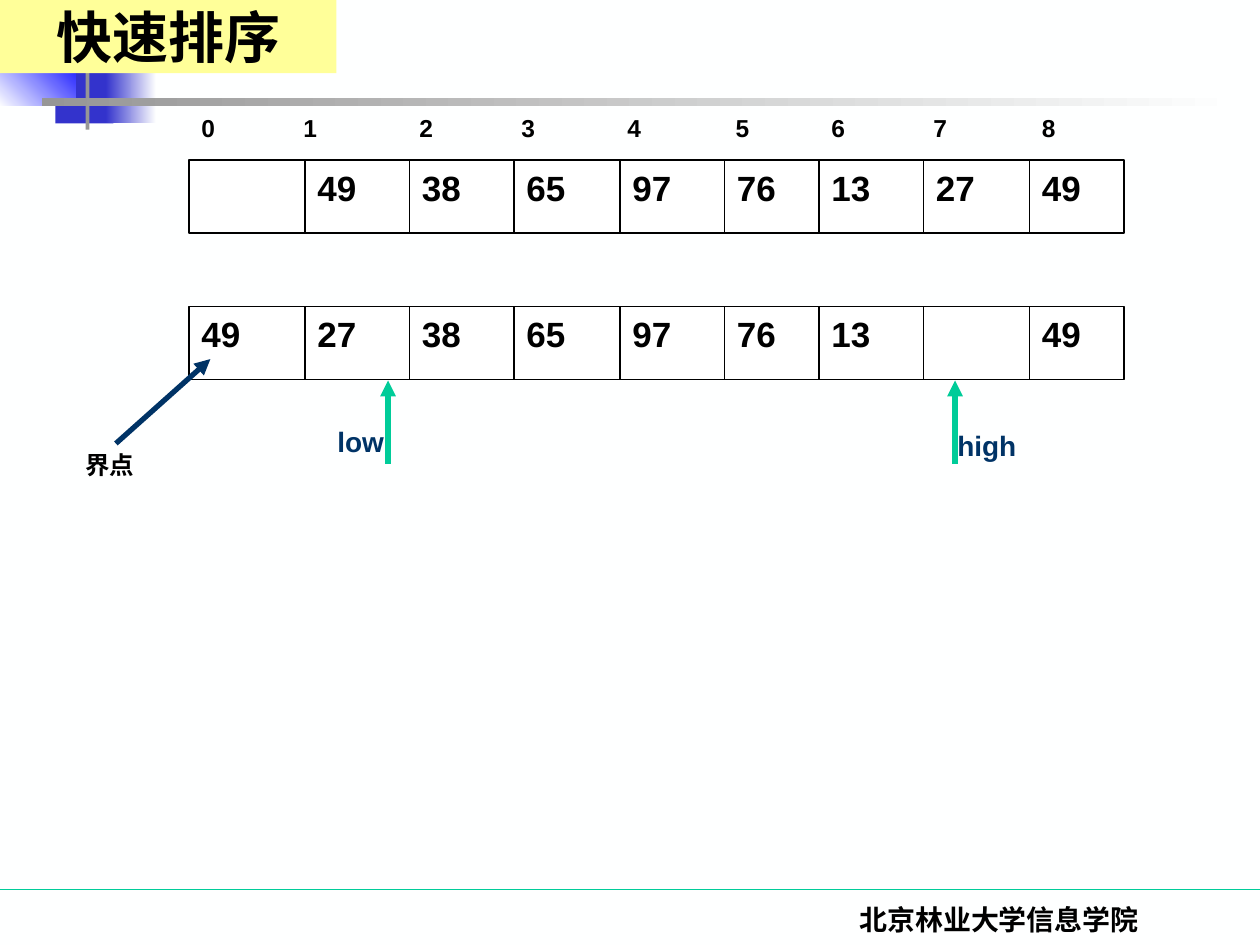
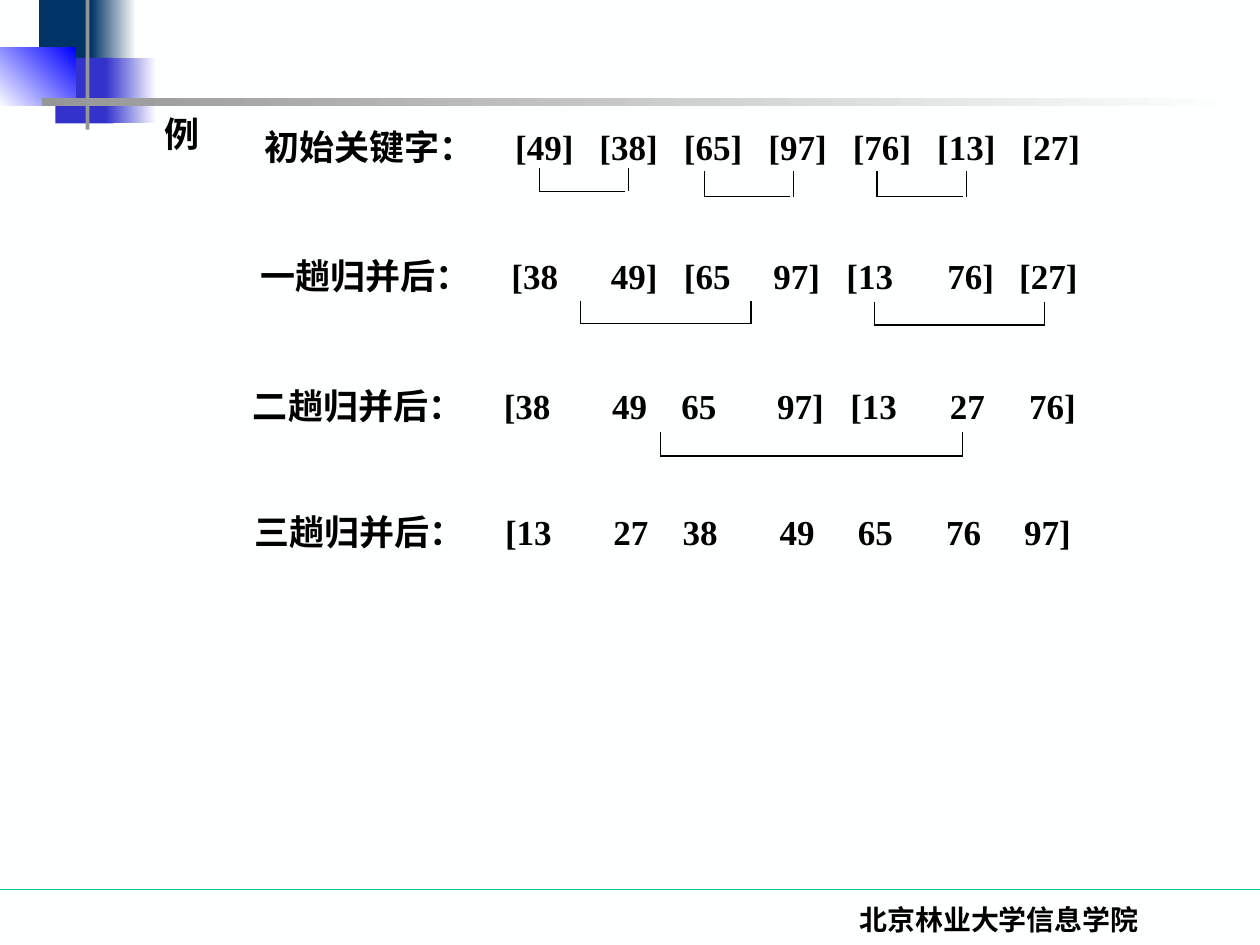
from lxml.etree import SubElement
from pptx import Presentation
from pptx.dml.color import RGBColor
from pptx.enum.shapes import MSO_CONNECTOR, MSO_SHAPE
from pptx.enum.text import MSO_ANCHOR, PP_ALIGN
from pptx.oxml.ns import qn
from pptx.util import Inches, Pt

BLACK = RGBColor(0x00, 0x00, 0x00)
WHITE = RGBColor(0xFF, 0xFF, 0xFF)
PAPER = RGBColor(0xFE, 0xFF, 0xFF)
NAVY = RGBColor(0x00, 0x33, 0x66)
INDIGO = RGBColor(0x33, 0x33, 0xCC)
BLUE = RGBColor(0x00, 0x00, 0xFF)
GREY = RGBColor(0x96, 0x96, 0x96)
GREEN = RGBColor(0x00, 0xCC, 0x99)
YELLOW = RGBColor(0xFF, 0xFF, 0x99)
SANS, SERIF = "Arial", "Times New Roman"
INSET = 0.1


def add_text(s, text, left, top, width, height, size, font=SANS, color=BLACK,
             align=PP_ALIGN.LEFT, stops=()):
    """Add a bold one-line text box; stops are tab positions on the slide."""
    tf = s.shapes.add_textbox(Inches(left), Inches(top), Inches(width), Inches(height)).text_frame
    tf.word_wrap = True
    p = tf.paragraphs[0]
    p.alignment = align
    if stops:
        tabs = SubElement(p._p.get_or_add_pPr(), qn("a:tabLst"))
        for x in stops:
            SubElement(tabs, qn("a:tab"), pos=str(Inches(x - left - INSET)), algn="l")
    r = p.add_run()
    r.text = text
    r.font.name, r.font.size, r.font.bold = font, Pt(size), True
    r.font.color.rgb = color


def add_line(s, x1, y1, x2, y2, color=BLACK, width=0.75, arrow=False):
    line = s.shapes.add_connector(MSO_CONNECTOR.STRAIGHT, Inches(x1), Inches(y1),
                                  Inches(x2), Inches(y2))
    line.line.color.rgb = color
    line.line.width = Pt(width)
    if arrow:
        SubElement(line.line._get_or_add_ln(), qn("a:tailEnd"), type="triangle")
    SubElement(line._element.spPr, qn("a:effectLst"))


prs = Presentation()
prs.slide_width, prs.slide_height = Inches(10), Inches(7.5)
quick = prs.slides.add_slide(prs.slide_layouts[5])
merge = prs.slides.add_slide(prs.slide_layouts[6])

# Shared background, corner ornament and footer
# left, top, width, height, first colour, last colour, gradient angle
ORNAMENT = [
    (0.31, 0, 0.48, 0.52, NAVY, None, 0),
    (0.72, 0, 0.36, 0.52, NAVY, PAPER, 0),
    (0.44, 0.46, 0.46, 0.52, INDIGO, None, 0),
    (0.84, 0.46, 0.4, 0.52, INDIGO, PAPER, 0),
    (-0.01, 0.38, 0.61, 0.46, PAPER, BLUE, 45),
    (0.68, -0.12, 0.03, 1.15, GREY, None, 0),
    (0.33, 0.78, 9.51, 0.06, GREY, PAPER, 0),
]
for s in (quick, merge):
    s.background.fill.solid()
    s.background.fill.fore_color.rgb = PAPER
    add_line(s, 0, 7.06, 10, 7.06, GREEN)
    for left, top, width, height, first, last, angle in ORNAMENT:
        sp = s.shapes.add_shape(MSO_SHAPE.RECTANGLE, Inches(left), Inches(top),
                                Inches(width), Inches(height))
        sp.shadow.inherit = False
        sp.line.fill.background()
        if last is None:
            sp.fill.solid()
            sp.fill.fore_color.rgb = first
        else:
            sp.fill.gradient()
            sp.fill.gradient_angle = angle
            for stop, color in zip(sp.fill.gradient_stops, (first, last)):
                stop.color.rgb = color
    add_text(s, "北京林业大学信息学院", 5.86, 7.11, 4.14, 0.39, 16, SERIF, align=PP_ALIGN.CENTER)

# Quick sort: title band, in front of the ornament
title = quick.shapes.title
title.left, title.top, title.width, title.height = 0, 0, Inches(2.67), Inches(0.58)
title.fill.solid()
title.fill.fore_color.rgb = YELLOW
tf = title.text_frame
tf.vertical_anchor = MSO_ANCHOR.MIDDLE
p = tf.paragraphs[0]
p.alignment = PP_ALIGN.CENTER
r = p.add_run()
r.text = "快速排序"
r.font.name, r.font.size, r.font.bold = SERIF, Pt(32), True
r.font.color.rgb = BLACK
quick.shapes._spTree.append(title._element)

# Quick sort: indexes and the array before and after the swap
cell_lefts = [1.5, 2.42, 3.25, 4.08, 4.92, 5.75, 6.5, 7.33, 8.17]
index_stops = [2.41, 3.33, 4.14, 4.98, 5.84, 6.6, 7.41, 8.27]
arrays = [
    (1.27, ["", "49", "38", "65", "97", "76", "13", "27", "49"]),
    (2.43, ["49", "27", "38", "65", "97", "76", "13", "", "49"]),
]
add_text(quick, "\t".join(str(i) for i in range(9)), 1.5, 0.85, 7.42, 0.34, 14, stops=index_stops)
for top, keys in arrays:
    frame = quick.shapes.add_shape(MSO_SHAPE.RECTANGLE, Inches(1.5), Inches(top),
                                   Inches(7.42), Inches(0.58))
    frame.shadow.inherit = False
    frame.fill.solid()
    frame.fill.fore_color.rgb = WHITE
    frame.line.color.rgb = BLACK
    frame.line.width = Pt(0.75)
    for x in cell_lefts[1:]:
        add_line(quick, x, top, x, top + 0.58)
    for x, key in zip(cell_lefts, keys):
        if key:
            add_text(quick, key, x, top, 0.67, 0.44, 20)

# Quick sort: low and high pointers, pivot
for name, arrow_x, left, top in [("low", 3.08, 2.58, 3.32), ("high", 7.58, 7.5, 3.35)]:
    add_line(quick, arrow_x, 3.68, arrow_x, 3.02, GREEN, 3, arrow=True)
    add_text(quick, name, left, top, 0.92, 0.37, 16, color=NAVY)
add_text(quick, "界点", 0.58, 3.52, 0.83, 0.34, 14)
add_line(quick, 0.92, 3.52, 1.67, 2.85, NAVY, 3, arrow=True)

# Merge sort: keys after each pass, aligned by tab stops
add_text(merge, "例", 1.21, 0.84, 0.48, 0.44, 20, SERIF)
passes = [
    (2.0, 0.95, "初始关键字：", ["[49]", "[38]", "[65]", "[97]", "[76]", "[13]", "[27]"],
     [4.09 + 0.67 * i for i in range(7)]),
    (1.97, 1.97, "一趟归并后：", ["[38", "49]", "[65", "97]", "[13", "76]", "[27]"],
     [4.06, 4.85, 5.43, 6.14, 6.72, 7.52, 8.09]),
    (1.91, 3.0, "二趟归并后：", ["[38", "49", "65", "97]", "[13", "27", "76]"],
     [4.0, 4.86, 5.41, 6.17, 6.75, 7.54, 8.17]),
    (1.92, 4.0, "三趟归并后：", ["[13", "27", "38", "49", "65", "76", "97]"],
     [4.01, 4.87, 5.42, 6.19, 6.81, 7.51, 8.13]),
]
for left, top, label, keys, stops in passes:
    add_text(merge, "\t".join([label, *keys]), left, top, 6.8, 0.44, 20, SERIF, stops=stops)

# Merge sort: brackets joining the runs to be merged
# left, top, width, height, gap before the right side
brackets = [
    (4.28, 1.33, 0.71, 0.19, 0.03),
    (5.59, 1.36, 0.71, 0.2, 0.03),
    (6.96, 1.36, 0.71, 0.2, 0.03),
    (4.61, 2.39, 1.35, 0.18, 0),
    (6.94, 2.4, 1.35, 0.18, 0),
    (5.24, 3.43, 2.4, 0.19, 0),
]
for left, top, width, height, gap in brackets:
    right, bottom = left + width, top + height
    add_line(merge, left, top, left, bottom)
    add_line(merge, left, bottom, right - gap, bottom)
    add_line(merge, right, top, right, bottom)

prs.save("out.pptx")
